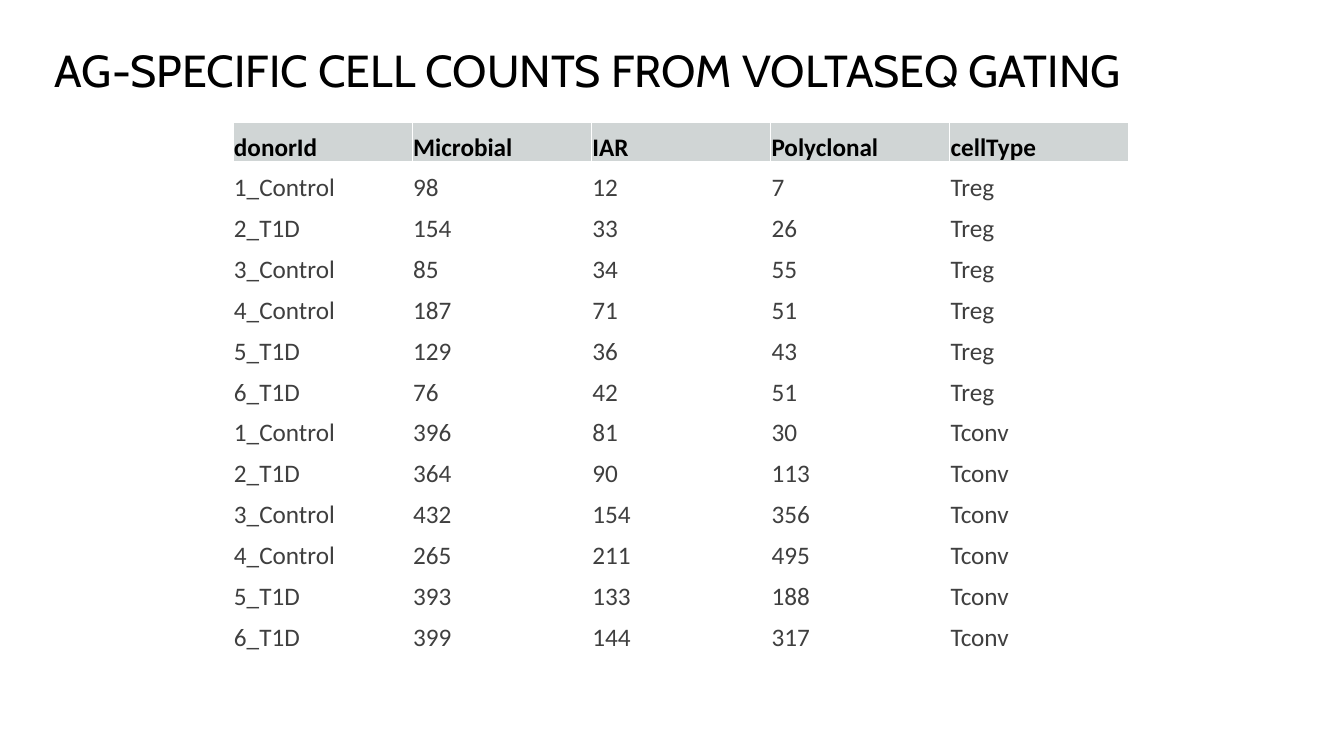
from lxml.etree import SubElement
from pptx import Presentation
from pptx.dml.color import RGBColor
from pptx.enum.text import MSO_ANCHOR
from pptx.oxml.ns import qn
from pptx.util import Emu, Pt

SLIDE_WIDTH, SLIDE_HEIGHT = 1344, 756
EMU_PER_PX = 12192000 / SLIDE_WIDTH
COLORS = {
    "black": "000000",
    "body": "3F3F3F",
    "header": "D0D5D5",
    "border": "FFFFFF",
}
HEADERS = ["donorId", "Microbial", "IAR", "Polyclonal", "cellType"]
DONORS = ["1_Control", "2_T1D", "3_Control", "4_Control", "5_T1D", "6_T1D"]
COUNTS = {
    "Treg": [(98, 12, 7), (154, 33, 26), (85, 34, 55),
             (187, 71, 51), (129, 36, 43), (76, 42, 51)],
    "Tconv": [(396, 81, 30), (364, 90, 113), (432, 154, 356),
              (265, 211, 495), (393, 133, 188), (399, 144, 317)],
}


def px(length):
    return Emu(round(length * EMU_PER_PX))


def write_text(frame, text, *, font, size, color, bold=False, line_spacing=None):
    paragraph = frame.paragraphs[0]
    paragraph.line_spacing = line_spacing
    run = paragraph.add_run()
    run.text = text
    run.font.name = font
    run.font.size = Pt(size)
    run.font.bold = bold
    run.font.color.rgb = RGBColor.from_string(COLORS[color])


def add_title(slide, text, left, top, width, height):
    shape = slide.shapes.add_textbox(px(left), px(top), px(width), px(height))
    frame = shape.text_frame
    frame.word_wrap = True
    frame.vertical_anchor = MSO_ANCHOR.MIDDLE
    write_text(frame, text, font="Cabin", size=32, color="black", line_spacing=0.9)


def set_borders(cell, **widths):
    properties = cell._tc.get_or_add_tcPr()
    for side in ("L", "R", "T", "B"):
        line = SubElement(properties, qn(f"a:ln{side}"), w=str(Pt(widths.get(side, 1))))
        fill = SubElement(line, qn("a:solidFill"))
        SubElement(fill, qn("a:srgbClr"), val=COLORS["border"])


def format_cell(cell, text, row_index):
    is_header = row_index == 0
    cell.margin_left = cell.margin_right = cell.margin_top = px(1)
    cell.margin_bottom = 0
    cell.vertical_anchor = MSO_ANCHOR.BOTTOM
    if is_header:
        set_borders(cell, B=3)
        cell.fill.solid()
        cell.fill.fore_color.rgb = RGBColor.from_string(COLORS["header"])
    else:
        set_borders(cell, T=3 if row_index == 1 else 1)
        cell.fill.background()
    write_text(cell.text_frame, text, font="Calibri", size=18,
               color="black" if is_header else "body", bold=is_header)


def add_count_table(slide, rows, left, top, width, height):
    shape = slide.shapes.add_table(len(rows), len(rows[0]),
                                   px(left), px(top), px(width), px(height))
    table = shape.table
    table.horz_banding = False
    for column in table.columns:
        column.width = px(width / len(rows[0]))
    for row_index, values in enumerate(rows):
        table.rows[row_index].height = px(height / len(rows))
        for column_index, value in enumerate(values):
            format_cell(table.cell(row_index, column_index), str(value), row_index)


def main():
    presentation = Presentation()
    presentation.slide_width = px(SLIDE_WIDTH)
    presentation.slide_height = px(SLIDE_HEIGHT)
    slide = presentation.slides.add_slide(presentation.slide_layouts[6])
    add_title(slide, "AG-SPECIFIC CELL COUNTS FROM VOLTASEQ GATING", 45, 40, 1253, 66)
    rows = [HEADERS]
    for cell_type, counts in COUNTS.items():
        rows += [(donor, *count, cell_type) for donor, count in zip(DONORS, counts)]
    add_count_table(slide, rows, 233, 122, 896, 531)
    presentation.save("out.pptx")


if __name__ == "__main__":
    main()
